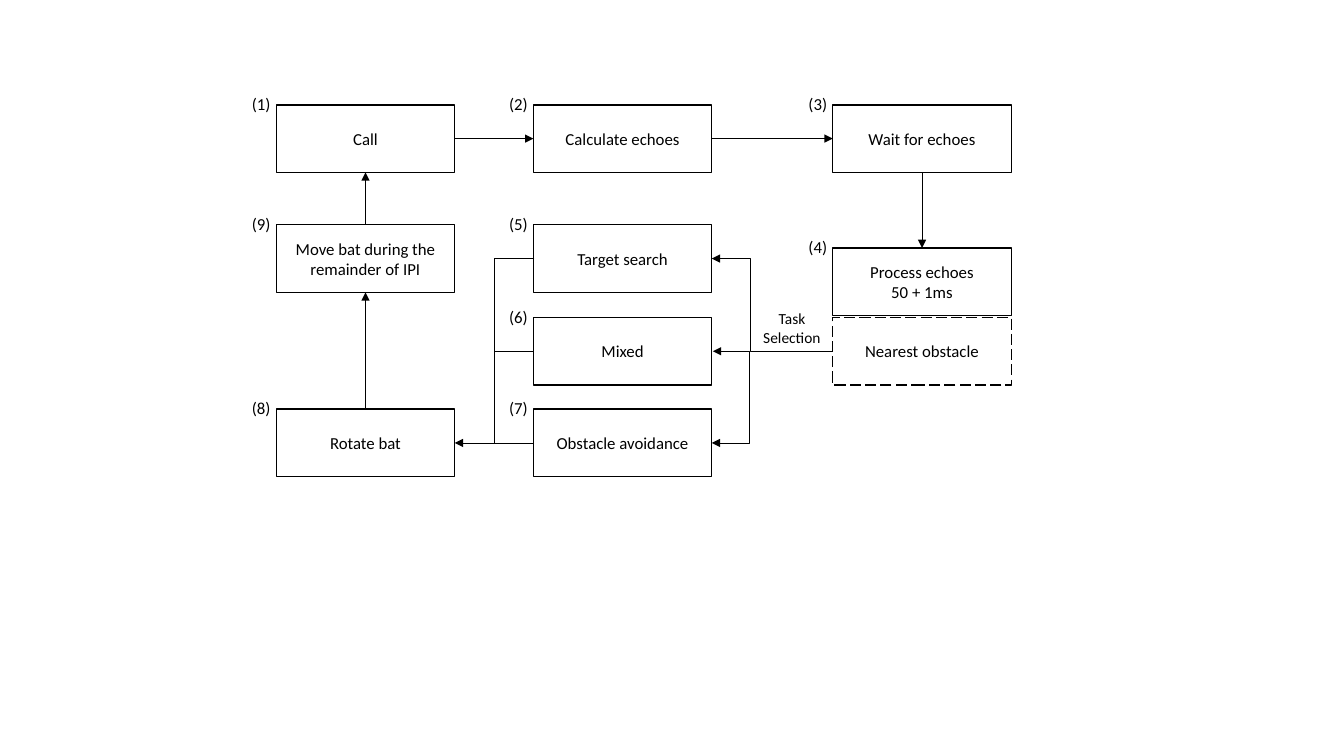
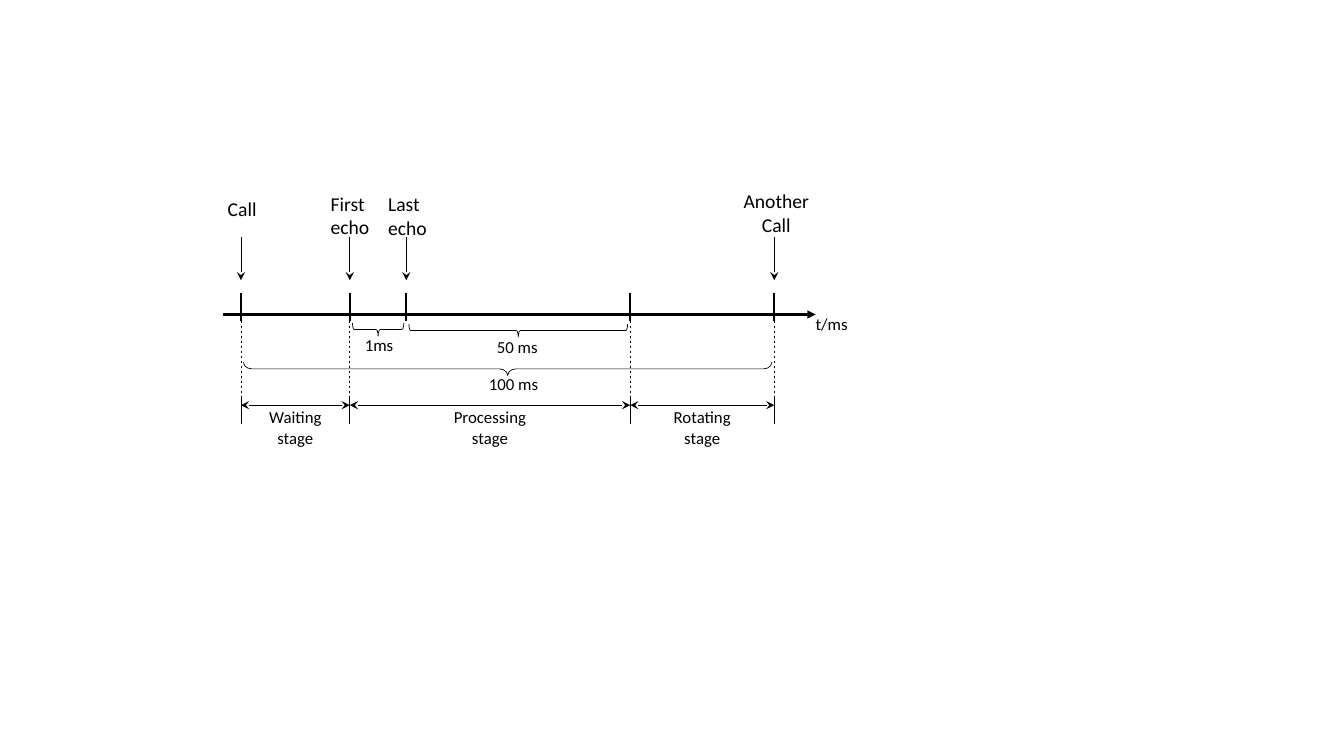
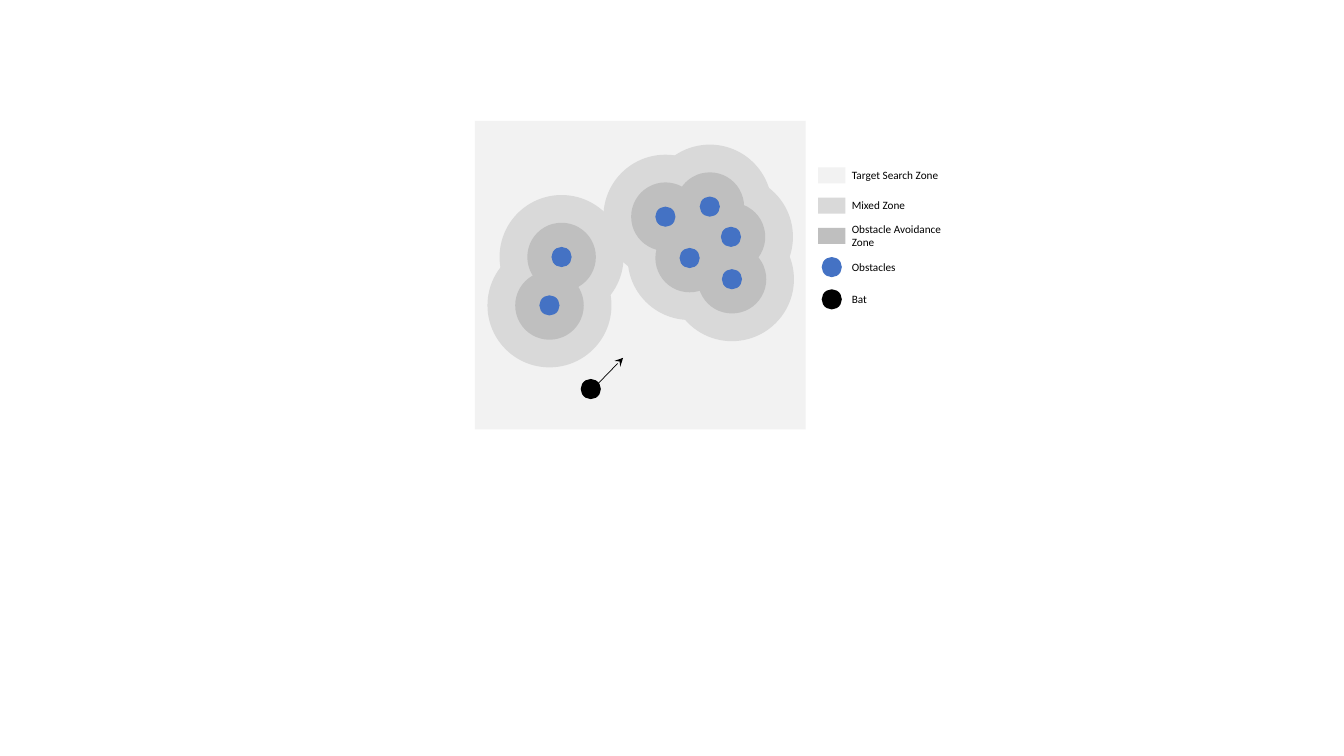
from lxml import etree
from pptx import Presentation
from pptx.dml.color import RGBColor
from pptx.enum.dml import MSO_LINE
from pptx.enum.shapes import MSO_CONNECTOR, MSO_SHAPE
from pptx.enum.text import MSO_ANCHOR, MSO_AUTO_SIZE, PP_ALIGN
from pptx.oxml.ns import qn
from pptx.util import Inches, Pt

BLACK = RGBColor(0x00, 0x00, 0x00)
WHITE = RGBColor(0xFF, 0xFF, 0xFF)
SEARCH_GREY = RGBColor(0xF2, 0xF2, 0xF2)
MIXED_GREY = RGBColor(0xD9, 0xD9, 0xD9)
AVOIDANCE_GREY = RGBColor(0xBF, 0xBF, 0xBF)
OBSTACLE_BLUE = RGBColor(0x44, 0x72, 0xC4)

RECTANGLE, OVAL, BRACE = MSO_SHAPE.RECTANGLE, MSO_SHAPE.OVAL, MSO_SHAPE.RIGHT_BRACE
STRAIGHT, ELBOW = MSO_CONNECTOR.STRAIGHT, MSO_CONNECTOR.ELBOW
DASH, LONG_DASH = MSO_LINE.DASH, MSO_LINE.LONG_DASH
LEFT, CENTER = PP_ALIGN.LEFT, PP_ALIGN.CENTER
MIDDLE = MSO_ANCHOR.MIDDLE
FIT_SHAPE = MSO_AUTO_SIZE.SHAPE_TO_FIT_TEXT

FONT = "Calibri"
TOP_SITE, LEFT_SITE, BOTTOM_SITE, RIGHT_SITE = range(4)


def set_formats(target, formats):
    for name, value in formats.items():
        setattr(target, name, value)


class Region:
    def __init__(self, slide, left, top):
        self.shapes = slide.shapes
        self.left, self.top = left, top

    def place(self, x, y):
        return Inches(self.left + x), Inches(self.top + y)

    def add_lines(self, frame, lines, size, align):
        for index, line in enumerate(lines):
            paragraph = frame.paragraphs[0] if index == 0 else frame.add_paragraph()
            paragraph.alignment = align
            run = paragraph.add_run()
            run.text = line
            set_formats(run.font, {"name": FONT, "size": Pt(size)})
            run.font.color.rgb = BLACK

    def label(self, x, y, width, height, lines, size=12, align=CENTER):
        box = self.shapes.add_textbox(*self.place(x, y), Inches(width), Inches(height))
        set_formats(box.text_frame, {"word_wrap": False, "auto_size": FIT_SHAPE})
        self.add_lines(box.text_frame, lines, size, align)

    def shape(self, kind, x, y, width, height, fill=None, weight=None):
        shape = self.shapes.add_shape(kind, *self.place(x, y), Inches(width), Inches(height))
        shape.shadow.inherit = False
        if fill is None:
            shape.fill.background()
        else:
            shape.fill.solid()
            shape.fill.fore_color.rgb = fill
        if weight is None:
            shape.line.fill.background()
        else:
            shape.line.color.rgb = BLACK
            shape.line.width = Pt(weight)
        return shape

    def centered(self, kind, x, y, width, height, fill=None, weight=None):
        return self.shape(kind, x - width / 2, y - height / 2, width, height, fill, weight)

    def line(self, start, end, weight=0.5, dash=None, head=None, tail=None, via=None):
        kind = STRAIGHT if via is None else ELBOW
        connector = self.shapes.add_connector(kind, *self.place(*start), *self.place(*end))
        set_formats(connector.line, {"width": Pt(weight), "dash_style": dash})
        connector.line.color.rgb = BLACK
        properties = connector.element.spPr
        outline = properties.find(qn("a:ln"))
        for tag, arrow in (("a:headEnd", head), ("a:tailEnd", tail)):
            if arrow:
                etree.SubElement(outline, qn(tag), type=arrow)
        etree.SubElement(properties, qn("a:effectLst"))
        if via is not None:
            bend = round(100000 * (via - start[0]) / (end[0] - start[0]))
            guides = properties.find(qn("a:prstGeom")).find(qn("a:avLst"))
            etree.SubElement(guides, qn("a:gd"), name="adj1", fmla=f"val {bend}")
        return connector


def draw_flow(slide, left, top):
    flow = Region(slide, left, top)
    width, height = 1.77, 0.67
    columns = (0, 2.55, 5.52)
    steps = [
        ("(1)", 0, 0, ["Call"]),
        ("(2)", 1, 0, ["Calculate echoes"]),
        ("(3)", 2, 0, ["Wait for echoes"]),
        ("(4)", 2, 1.42, ["Process echoes", "50 + 1ms"]),
        (None, 2, 2.11, ["Nearest obstacle"]),
        ("(7)", 1, 3.02, ["Obstacle avoidance"]),
        ("(6)", 1, 2.11, ["Mixed"]),
        ("(5)", 1, 1.19, ["Target search"]),
        ("(8)", 0, 3.02, ["Rotate bat"]),
        ("(9)", 0, 1.19, ["Move bat during the remainder of IPI"]),
    ]
    boxes = {}
    for number, column, y, lines in steps:
        box = flow.shape(RECTANGLE, columns[column], y, width, height, WHITE, 1)
        set_formats(box.text_frame, {"word_wrap": True, "vertical_anchor": MIDDLE})
        flow.add_lines(box.text_frame, lines, 12, CENTER)
        if number:
            boxes[number] = box
        else:
            box.line.dash_style = LONG_DASH

    for origin, origin_site, target, target_site in (
        ("(1)", RIGHT_SITE, "(2)", LEFT_SITE),
        ("(2)", RIGHT_SITE, "(3)", LEFT_SITE),
        ("(3)", BOTTOM_SITE, "(4)", TOP_SITE),
        ("(9)", TOP_SITE, "(1)", BOTTOM_SITE),
        ("(8)", TOP_SITE, "(9)", BOTTOM_SITE),
    ):
        arrow = flow.line((0, 0), (1, 1), tail="triangle")
        arrow.begin_connect(boxes[origin], origin_site)
        arrow.end_connect(boxes[target], target_site)

    search_y, mixed_y, avoidance_y = (y + height / 2 for y in (1.19, 2.11, 3.02))
    rotate_right, task_left = width, columns[1]
    task_right, obstacle_left = columns[1] + width, columns[2]
    merge_x, split_x = 2.16, 4.7
    flow.line((obstacle_left, mixed_y), (task_right, search_y), tail="triangle", via=split_x)
    flow.line((task_right, avoidance_y), (task_right + 0.01, mixed_y),
              head="triangle", tail="triangle", via=split_x)
    flow.line((task_left + 0.01, search_y), (task_left, mixed_y), via=merge_x)
    flow.line((rotate_right, avoidance_y), (merge_x, mixed_y), head="triangle", via=merge_x)
    flow.line((merge_x, avoidance_y), (task_left, avoidance_y))

    flow.label(4.73, 1.98, 0.77, 0.47, ["Task", "Selection"], 11)
    for number, column, y, lines in steps:
        if number:
            flow.label(columns[column] - 0.34, y - 0.16, 0.39, 0.3, [number], align=LEFT)


def draw_timeline(slide, left, top):
    timeline = Region(slide, left, top)
    call, first, last, processed, another = 0.18, 1.26, 1.82, 4.04, 5.47
    axis_y, stage_y = 1.29, 2.19

    timeline.line((0, axis_y), (5.88, axis_y), 1.75, tail="triangle")
    for x in (call, first, last, processed, another):
        timeline.line((x, 1.08), (x, 1.35), 1.5)
    for x in (call, first, processed, another):
        timeline.line((x, 1.35), (x, 2.14), dash=DASH)
        timeline.line((x, 2.11), (x, 2.38))

    for x, label_x, label_y, width, height, lines, align in (
        (call, -0.05, 0.07, 0.49, 0.34, ["Call"], LEFT),
        (first, 0.97, 0.02, 0.59, 0.57, ["First", "echo"], LEFT),
        (last, 1.54, 0.03, 0.59, 0.57, ["Last", "echo"], LEFT),
        (another, 5.06, 0, 0.86, 0.57, ["Another", "Call"], CENTER),
    ):
        timeline.line((x, 0.52), (x, 0.95), tail="stealth")
        timeline.label(label_x, label_y, width, height, lines, 14, align)

    for start, end, y, curve, text, label_x, label_y, width in (
        (first, last, 1.44, 0.15, "1ms", 1.31, 1.44, 0.49),
        (last, processed, 1.45, 0.15, "50 ms", 2.62, 1.46, 0.61),
        (call, another, 1.83, 0.63, "100 ms", 2.54, 1.83, 0.7),
    ):
        brace = timeline.centered(BRACE, (start + end) / 2, y, 0.13, end - start - 0.05, weight=0.5)
        brace.rotation = 90
        brace.adjustments[0] = curve
        timeline.label(label_x, label_y, width, 0.3, [text], align=LEFT)

    for start, end, name, width in (
        (call, first, "Waiting", 0.73),
        (first, processed, "Processing", 0.93),
        (processed, another, "Rotating", 0.77),
    ):
        timeline.line((end, stage_y), (start, stage_y), head="stealth", tail="stealth")
        timeline.label((start + end - width) / 2, 2.16, width, 0.5, [name, "stage"])
    timeline.label(5.78, 1.23, 0.52, 0.3, ["t/ms"], align=LEFT)


def draw_zone_map(slide, left, top):
    zone_map = Region(slide, left, top)
    obstacles = ((0.86, 1.35), (0.74, 1.83), (1.89, 0.95), (2.33, 0.85),
                 (2.13, 1.36), (2.54, 1.15), (2.55, 1.57))
    zone_map.shape(RECTANGLE, 0, 0, 3.28, 3.06, SEARCH_GREY)
    for diameter, fill in ((1.23, MIXED_GREY), (0.68, AVOIDANCE_GREY), (0.2, OBSTACLE_BLUE)):
        for x, y in obstacles:
            zone_map.centered(OVAL, x, y, diameter, diameter, fill)
    zone_map.line((1.14, 2.69), (1.47, 2.35), tail="stealth")
    zone_map.centered(OVAL, 1.15, 2.66, 0.2, 0.2, BLACK)


def draw_legend(slide, left, top):
    legend = Region(slide, left, top)
    patch, dot = (RECTANGLE, 0.27, 0.16), (OVAL, 0.2, 0.2)
    for y, (kind, width, height), fill, lines, label_width, label_height in (
        (0.11, patch, SEARCH_GREY, ["Target Search Zone"], 1.08, 0.24),
        (0.41, patch, MIXED_GREY, ["Mixed Zone"], 0.74, 0.24),
        (0.71, patch, AVOIDANCE_GREY, ["Obstacle Avoidance", "Zone"], 1.1, 0.37),
        (1.02, dot, OBSTACLE_BLUE, ["Obstacles"], 0.64, 0.24),
        (1.34, dot, BLACK, ["Bat"], 0.35, 0.24),
    ):
        legend.centered(kind, 0.14, y, width, height, fill)
        legend.label(0.24, y - label_height / 2, label_width, label_height, lines, 8, LEFT)


deck = Presentation()
set_formats(deck, {"slide_width": Inches(13.33), "slide_height": Inches(7.5)})
blank_layout = deck.slide_layouts[6]
flow_slide, timeline_slide, zone_slide = (deck.slides.add_slide(blank_layout) for _ in range(3))
draw_flow(flow_slide, 2.74, 1.04)
draw_timeline(timeline_slide, 2.21, 1.83)
draw_zone_map(zone_slide, 4.71, 1.2)
draw_legend(zone_slide, 8.11, 1.63)
deck.save("out.pptx")
